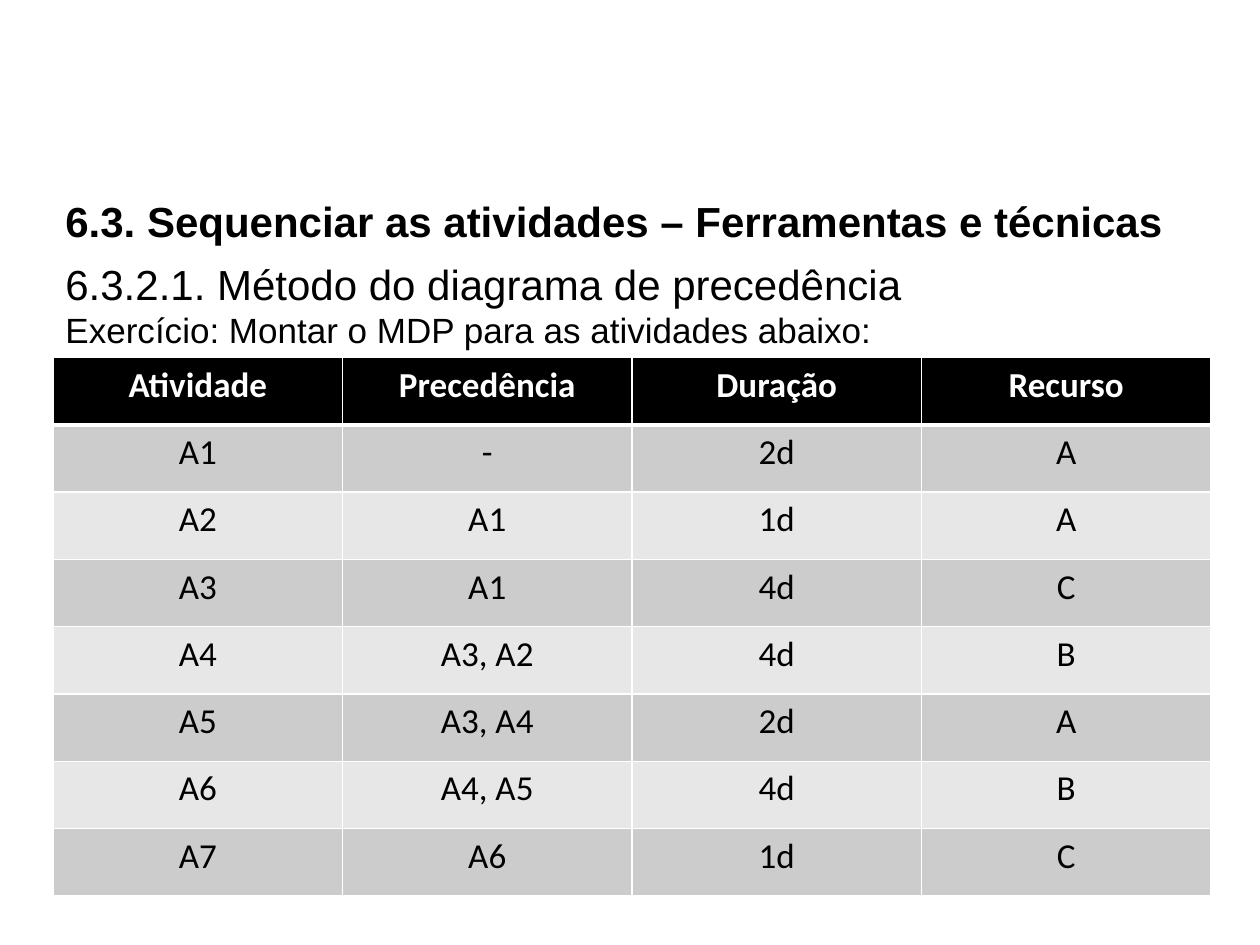
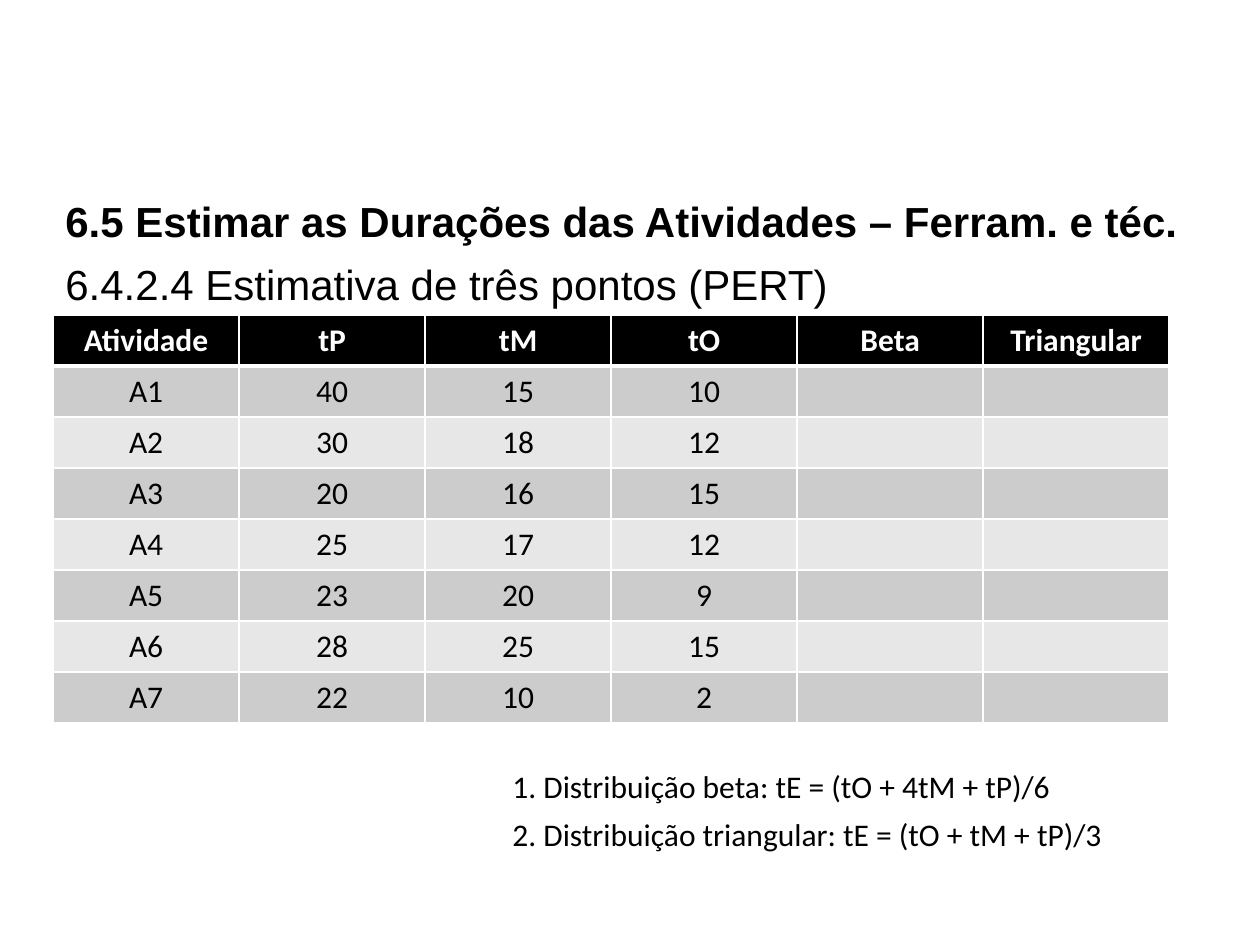
from lxml import etree
from pptx import Presentation
from pptx.dml.color import RGBColor
from pptx.enum.text import PP_ALIGN
from pptx.oxml.ns import qn
from pptx.util import Cm, Pt

LEFT, CENTER, JUSTIFY = PP_ALIGN.LEFT, PP_ALIGN.CENTER, PP_ALIGN.JUSTIFY
BLACK, WHITE = "000000", "FFFFFF"
BANDS = ("CCCCCC", "E7E7E7")
HEADING_FONT, TABLE_FONT = "Arial", "Calibri"
MARGIN = 1.07
CONTENT_WIDTH = 23.34
TITLE_TOP, SUBTITLE_TOP = 3.81, 5.08
LINE_HEIGHT = 1.27
THIN, THICK = 1, 3

PRECEDENCE = [
    ("Atividade", "Precedência", "Duração", "Recurso"),
    ("A1", "-", "2d", "A"),
    ("A2", "A1", "1d", "A"),
    ("A3", "A1", "4d", "C"),
    ("A4", "A3, A2", "4d", "B"),
    ("A5", "A3, A4", "2d", "A"),
    ("A6", "A4, A5", "4d", "B"),
    ("A7", "A6", "1d", "C"),
]
ESTIMATES = [
    ("Atividade", "tP", "tM", "tO", "Beta", "Triangular"),
    ("A1", "40", "15", "10", "", ""),
    ("A2", "30", "18", "12", "", ""),
    ("A3", "20", "16", "15", "", ""),
    ("A4", "25", "17", "12", "", ""),
    ("A5", "23", "20", "9", "", ""),
    ("A6", "28", "25", "15", "", ""),
    ("A7", "22", "10", "2", "", ""),
]


def rgb(value):
    return RGBColor.from_string(value)


def write(para, text, size, font, color=BLACK, bold=False, align=LEFT):
    """Align the paragraph and add one formatted run to it."""
    para.alignment = align
    span = para.add_run()
    span.text = text
    span.font.size = Pt(size)
    span.font.name = font
    span.font.bold = bold
    span.font.color.rgb = rgb(color)


def add_text(page, left, top, width, height, lines, font,
             bold=False, align=JUSTIFY, gap=0, indent=0.25):
    """Add a text box; lines holds one (text, size) pair per paragraph."""
    box = page.shapes.add_textbox(Cm(left), Cm(top), Cm(width), Cm(height))
    frame = box.text_frame
    frame.word_wrap = True
    frame.margin_left = Cm(indent)
    for index, (text, size) in enumerate(lines):
        para = frame.add_paragraph() if index else frame.paragraphs[0]
        if index:
            para.space_before = Pt(gap)
        write(para, text, size, font, bold=bold, align=align)


def add_headings(page, title, lines, height=LINE_HEIGHT):
    add_text(page, MARGIN, TITLE_TOP, CONTENT_WIDTH, LINE_HEIGHT,
             [(title, 24)], HEADING_FONT, bold=True, align=LEFT)
    add_text(page, MARGIN, SUBTITLE_TOP, CONTENT_WIDTH, height,
             lines, HEADING_FONT)


def set_borders(cell, top, bottom):
    """Draw white cell borders; top and bottom are widths in points."""
    properties = cell._tc.get_or_add_tcPr()
    sides = (("lnL", THIN), ("lnR", THIN), ("lnT", top), ("lnB", bottom))
    for position, (side, width) in enumerate(sides):
        line = etree.Element(qn(f"a:{side}"), w=str(Pt(width)))
        fill = etree.SubElement(line, qn("a:solidFill"))
        etree.SubElement(fill, qn("a:srgbClr"), val=WHITE)
        properties.insert(position, line)


def add_banded_table(page, top, width, height, rows, size):
    table = page.shapes.add_table(
        len(rows), len(rows[0]), Cm(MARGIN), Cm(top), Cm(width), Cm(height)
    ).table
    for row, values in enumerate(rows):
        header = row == 0
        for column, text in enumerate(values):
            cell = table.cell(row, column)
            cell.fill.solid()
            cell.fill.fore_color.rgb = rgb(
                BLACK if header else BANDS[(row - 1) % 2])
            set_borders(cell, THICK if row == 1 else THIN,
                        THICK if header else THIN)
            para = cell.text_frame.paragraphs[0]
            if text:
                write(para, text, size, TABLE_FONT,
                      WHITE if header else BLACK, header, CENTER)
            else:
                para.font.size = Pt(size)


def build_precedence_page(page):
    add_headings(
        page, "6.3. Sequenciar as atividades – Ferramentas e técnicas",
        [("6.3.2.1. Método do diagrama de precedência", 24),
         ("Exercício: Montar o MDP para as atividades abaixo:", 20)],
        height=2.13)
    add_banded_table(page, 7.21, CONTENT_WIDTH, 10.85, PRECEDENCE, 20)


def build_estimate_page(page):
    add_headings(
        page, "6.5 Estimar as Durações das Atividades – Ferram. e téc.",
        [("6.4.2.4 Estimativa de três pontos (PERT)", 24)])
    add_banded_table(page, 6.35, 22.5, 8.23, ESTIMATES, 18)
    add_text(page, 7.54, 15.34, 15.67, 2.01,
             [("1. Distribuição beta: tE = (tO + 4tM + tP)/6", 18),
              ("2. Distribuição triangular: tE = (tO + tM + tP)/3", 18)],
             TABLE_FONT, gap=6, indent=2.79)


def main():
    deck = Presentation()
    deck.slide_width, deck.slide_height = Cm(25.4), Cm(19.05)
    blank = deck.slide_layouts[6]
    for build in (build_precedence_page, build_estimate_page):
        build(deck.slides.add_slide(blank))
    deck.save("out.pptx")


if __name__ == "__main__":
    main()
